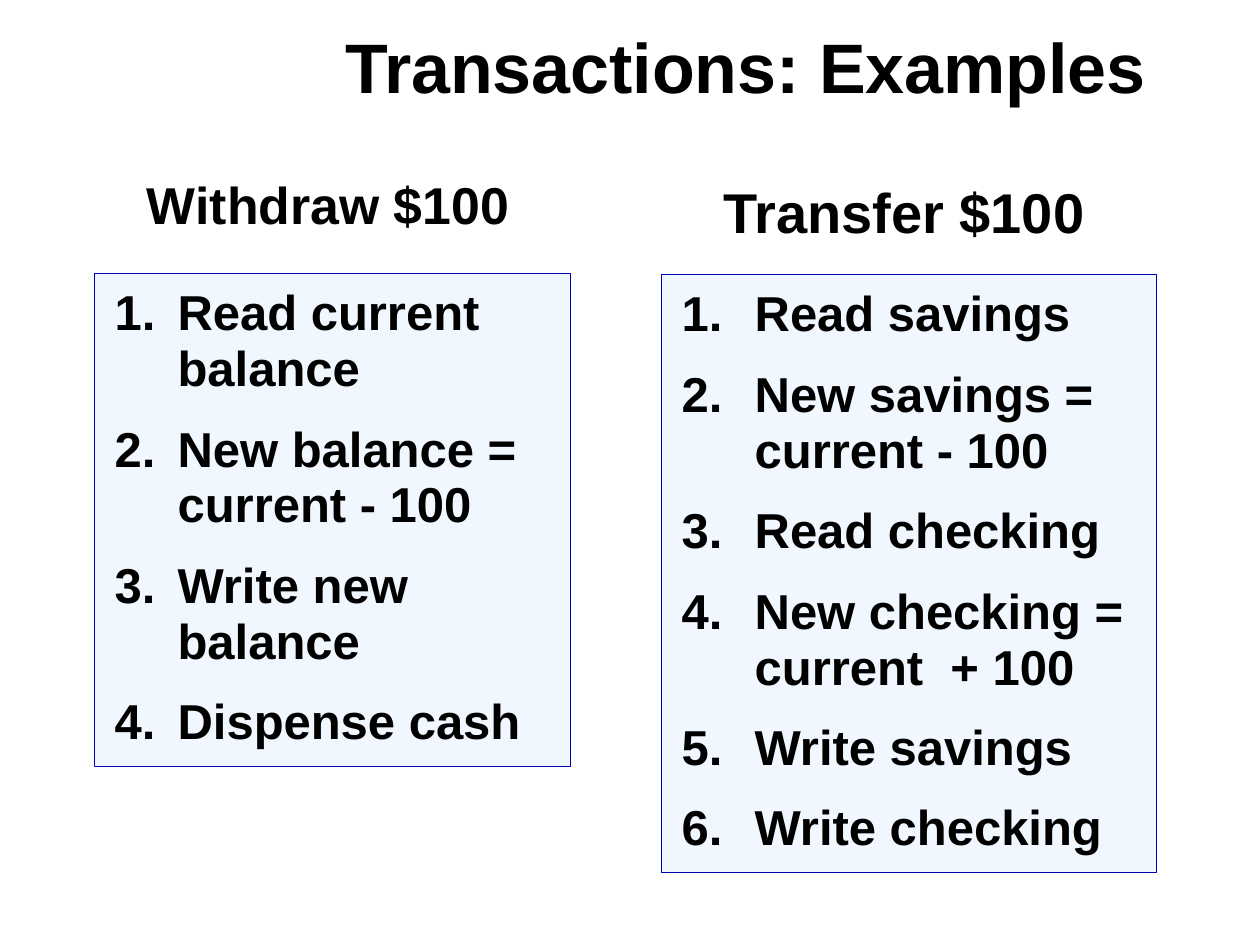
"""Build the slide that sets two transaction examples side by side."""
from dataclasses import dataclass

from lxml.etree import SubElement
from pptx import Presentation
from pptx.dml.color import RGBColor
from pptx.enum.text import MSO_ANCHOR as Anchor, MSO_AUTO_SIZE as AutoSize, PP_ALIGN as Align
from pptx.oxml.ns import qn
from pptx.util import Inches, Pt


@dataclass(frozen=True)
class Theme:
    font: str = "Arial"
    ink: str = "000000"
    panel: str = "DDECFF"
    panel_alpha: int = 40
    border: str = "0000B0"
    border_width: float = 0.25
    title_size: float = 40
    step_size: float = 28


def assign(target, values):
    for name, value in values.items():
        setattr(target, name, value)


class SlideBuilder:
    COLUMNS, ROWS = 20, 15
    COMPARISON = 4

    def __init__(self, deck, theme):
        self.deck, self.theme = deck, theme
        self.slide = deck.slides.add_slide(deck.slide_layouts[self.COMPARISON])

    def place(self, index, area, insets, anchor):
        holder = self.slide.placeholders[index]
        column, row, columns, rows = area
        cell_width = self.deck.slide_width / self.COLUMNS
        cell_height = self.deck.slide_height / self.ROWS
        assign(holder, {
            "left": round(column * cell_width),
            "top": round(row * cell_height),
            "width": round(columns * cell_width),
            "height": round(rows * cell_height),
        })
        left, top, right, bottom = map(Inches, insets)
        assign(holder.text_frame, {
            "margin_left": left, "margin_top": top,
            "margin_right": right, "margin_bottom": bottom,
            "word_wrap": True, "auto_size": AutoSize.NONE, "vertical_anchor": anchor,
        })
        return holder

    def style(self, paragraph, size, layout):
        assign(paragraph, layout)
        assign(paragraph.font, {"name": self.theme.font, "size": Pt(size), "bold": True})
        paragraph.font.color.rgb = RGBColor.from_string(self.theme.ink)

    def line(self, index, text, area, size, spacing, align, anchor=Anchor.TOP):
        holder = self.place(index, area, (0.1, 0.05, 0.1, 0.05), anchor)
        holder.text_frame.text = text
        self.style(holder.text_frame.paragraphs[0], size,
                   {"alignment": align, "line_spacing": spacing, "space_before": Pt(0)})

    def title(self, text, area):
        self.line(0, text, area, self.theme.title_size, 0.85, Align.LEFT, Anchor.MIDDLE)

    def heading(self, index, text, area, size, spacing):
        self.line(index, text, area, size, spacing, Align.CENTER)

    def number(self, paragraph, indent):
        properties = paragraph._p.get_or_add_pPr()
        assign_indent = {"marL": Inches(indent), "indent": -Inches(indent)}
        for name, value in assign_indent.items():
            properties.set(name, str(value))
        colour = SubElement(properties, qn("a:buClr"))
        SubElement(colour, qn("a:srgbClr"), val=self.theme.ink)
        SubElement(properties, qn("a:buFont"), typeface=self.theme.font)
        SubElement(properties, qn("a:buAutoNum"), type="arabicPeriod")

    def steps(self, index, items, area, indent):
        panel = self.place(index, area, (0.16, 0.1, 0.16, 0.12), Anchor.TOP)
        panel.fill.solid()
        panel.fill.fore_color.rgb = RGBColor.from_string(self.theme.panel)
        tint = panel._element.spPr.find(qn("a:solidFill"))[0]
        SubElement(tint, qn("a:alpha"), val=str(self.theme.panel_alpha * 1000))
        panel.line.color.rgb = RGBColor.from_string(self.theme.border)
        panel.line.width = Pt(self.theme.border_width)
        panel.text_frame.text = "\n".join(items)
        for position, step in enumerate(panel.text_frame.paragraphs):
            self.number(step, indent)
            self.style(step, self.theme.step_size,
                       {"line_spacing": 0.95, "space_before": Pt(14 if position else 0)})


def main():
    deck = Presentation()
    deck.slide_width, deck.slide_height = Inches(10), Inches(7.5)
    builder = SlideBuilder(deck, Theme())

    builder.title("Transactions: Examples", (5.28, 0.16, 14.34, 1.98))

    builder.heading(1, "Withdraw $100", (1.54, 2.8, 7.34, 1.1), 29.6, 0.85)
    withdrawal = [
        "Read current balance",
        "New balance =\vcurrent - 100",
        "Write new balance",
        "Dispense cash",
    ]
    builder.steps(2, withdrawal, (1.5, 4.34, 7.56, 7.82), 0.5)

    builder.heading(3, "Transfer $100", (10.5, 2.8, 7.7, 1.1), 32, 0.95)
    transfer = [
        "Read savings",
        "New savings =\vcurrent - 100",
        "Read checking",
        "New checking =\vcurrent  + 100",
        "Write savings",
        "Write checking",
    ]
    builder.steps(4, transfer, (10.5, 4.36, 7.86, 9.48), 0.58)

    deck.save("out.pptx")


if __name__ == "__main__":
    main()
